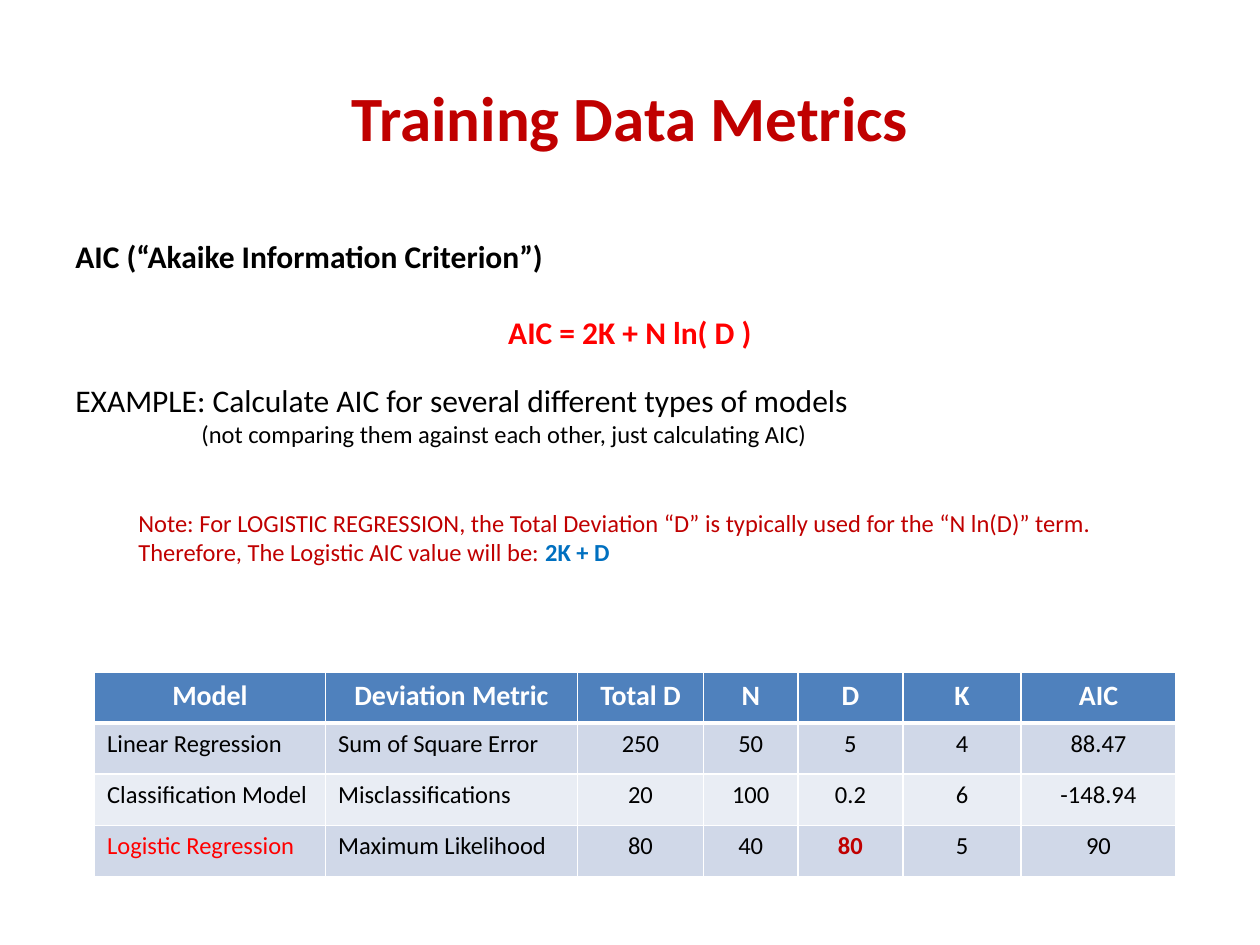
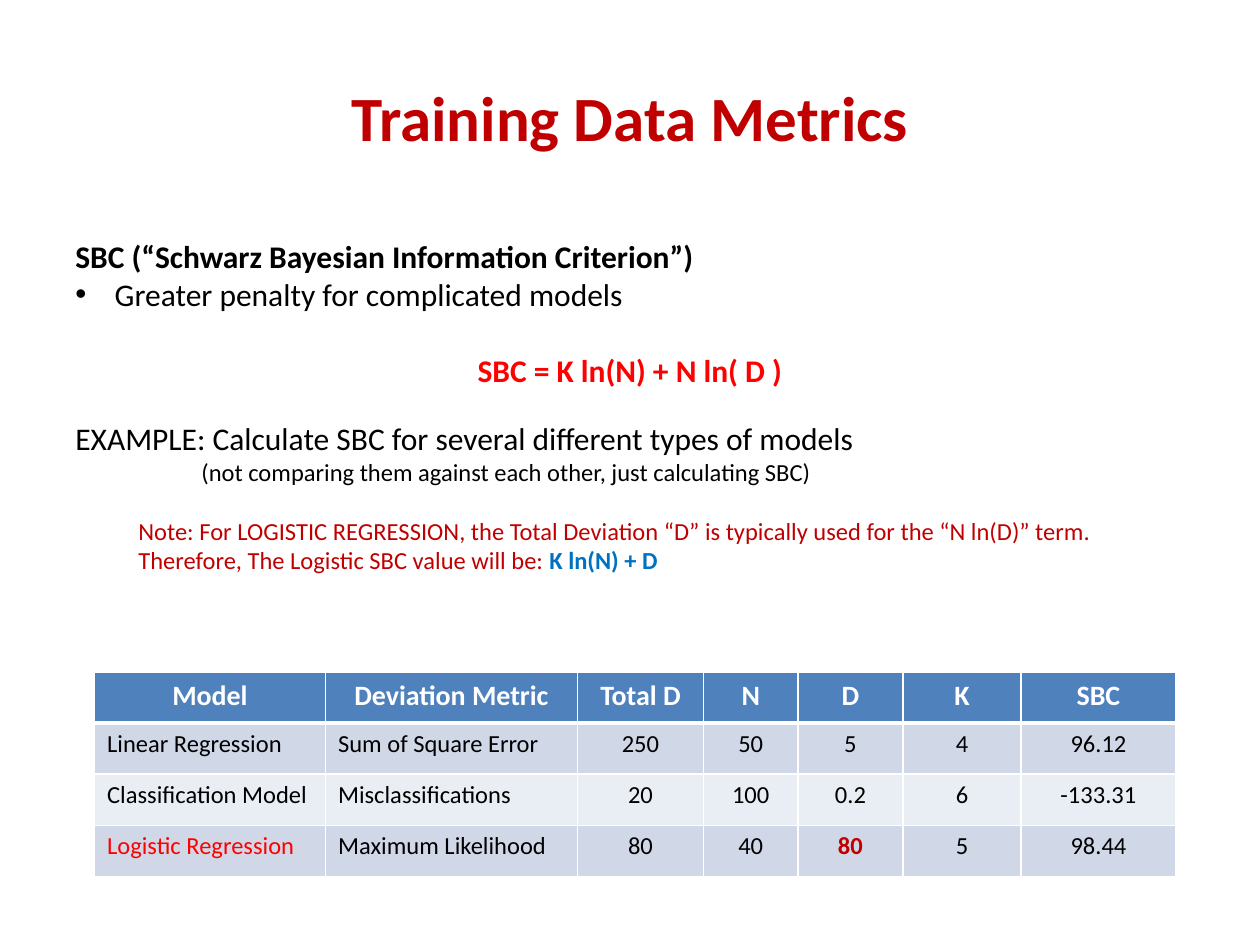
from lxml.etree import SubElement
from pptx import Presentation
from pptx.dml.color import RGBColor
from pptx.enum.text import MSO_ANCHOR, MSO_AUTO_SIZE, PP_ALIGN
from pptx.oxml.ns import qn
from pptx.util import Pt

FONT = "Calibri"
COLORS = {
    "black": "000000",
    "white": "FFFFFF",
    "dark_red": "C00000",
    "red": "FF0000",
    "blue": "0070C0",
    "header": "4F81BD",
    "odd_row": "D0D8E8",
    "even_row": "E9EDF4",
}
LINE_HEIGHT = 1.22  # Calibri line height relative to its size
COLUMN_WIDTHS = [132, 144, 72, 54, 60, 67.5, 88.5]
ROW_HEIGHT = 29.2
HEADINGS = ["Model", "Deviation Metric", "Total D", "N", "D", "K"]
MODELS = [
    ["Linear Regression", "Sum of Square Error", "250", "50", "5", "4"],
    ["Classification Model", "Misclassifications", "20", "100", "0.2", "6"],
    ["Logistic Regression", "Maximum Likelihood", "80", "40", "80", "5"],
]
HIGHLIGHTS = {(3, 0): ("red", False), (3, 4): ("dark_red", True)}
METRICS = [
    {
        "short": "AIC",
        "name": "Akaike Information Criterion",
        "points": [],
        "formula": "AIC = 2K + N ln( D )",
        "logistic": "2K + D",
        "note_gap": 2 * 14 * LINE_HEIGHT,
        "values": ["88.47", "-148.94", "90"],
        "height": 196.5,
    },
    {
        "short": "SBC",
        "name": "Schwarz Bayesian Information Criterion",
        "points": ["Greater penalty for complicated models"],
        "formula": "SBC = K ln(N) + N ln( D )",
        "logistic": "K ln(N) + D",
        "note_gap": 14 * LINE_HEIGHT,
        "values": ["96.12", "-133.31", "98.44"],
        "height": 218,
    },
]


def add_run(paragraph, text, size, color="black", bold=False):
    """Append one formatted run to a paragraph."""
    run = paragraph.add_run()
    run.text = text
    run.font.name = FONT
    run.font.size = Pt(size)
    run.font.bold = bold
    run.font.color.rgb = RGBColor.from_string(COLORS[color])


def add_text_box(slide, left, top, width, height):
    """Add a wrapping text box and return its text frame."""
    frame = slide.shapes.add_textbox(
        Pt(left), Pt(top), Pt(width), Pt(height)).text_frame
    frame.word_wrap = True
    return frame


def add_paragraph(frame, runs, gap=0, indent=0, align=PP_ALIGN.LEFT):
    """Add a paragraph of runs, using the empty first one if it is free."""
    first = frame.paragraphs[0]
    paragraph = frame.add_paragraph() if first.runs else first
    paragraph.alignment = align
    paragraph.space_before = Pt(gap)
    if indent:
        paragraph._p.get_or_add_pPr().set("marL", str(Pt(indent)))
    for run in runs:
        add_run(paragraph, *run)
    return paragraph


def add_bullet(paragraph, hanging):
    """Give a paragraph a round bullet that hangs left of its text."""
    properties = paragraph._p.get_or_add_pPr()
    properties.set("indent", str(-Pt(hanging)))
    SubElement(properties, qn("a:buFont")).set("typeface", "Arial")
    SubElement(properties, qn("a:buChar")).set("char", "•")


def add_title(slide):
    """Add the title that all slides share."""
    frame = add_text_box(slide, 36, 21.6, 648, 90)
    frame.vertical_anchor = MSO_ANCHOR.MIDDLE
    add_paragraph(frame, [("Training Data Metrics", 36, "dark_red", True)],
                  align=PP_ALIGN.CENTER)


def add_explanation(slide, metric):
    """Add the definition, formula, example and note of a metric."""
    short = metric["short"]
    frame = add_text_box(slide, 36, 132, 648, metric["height"])
    frame.auto_size = MSO_AUTO_SIZE.SHAPE_TO_FIT_TEXT
    add_paragraph(frame, [(f"{short} (“{metric['name']}”)", 18, "black", True)])
    for point in metric["points"]:
        add_bullet(add_paragraph(frame, [(point, 18)], indent=22.5), 22.5)
    add_paragraph(frame, [(metric["formula"], 18, "red", True)],
                  gap=18 * LINE_HEIGHT, align=PP_ALIGN.CENTER)
    add_paragraph(
        frame,
        [(f"EXAMPLE: Calculate {short} for several different types of models", 18)],
        gap=14 * LINE_HEIGHT)
    add_paragraph(
        frame,
        [(f"(not comparing them against each other, just calculating {short})", 14)],
        indent=72)
    note = ("Note: For LOGISTIC REGRESSION, the Total Deviation “D” is typically "
            "used for the “N ln(D)” term. Therefore, The Logistic "
            f"{short} value will be: ")
    add_paragraph(
        frame,
        [(note, 14, "dark_red"), (metric["logistic"], 14, "blue", True)],
        gap=metric["note_gap"], indent=36)


def set_borders(cell, top, bottom):
    """Draw white borders round a cell, with given top and bottom widths."""
    properties = cell._tc.get_or_add_tcPr()
    for side, width in (("L", 1), ("R", 1), ("T", top), ("B", bottom)):
        line = SubElement(properties, qn(f"a:ln{side}"), w=str(Pt(width)))
        fill = SubElement(line, qn("a:solidFill"))
        SubElement(fill, qn("a:srgbClr"), val=COLORS["white"])


def fill_cell(cell, text, row, column):
    """Write and style one table cell according to its place."""
    set_borders(cell, 3 if row == 1 else 1, 3 if row == 0 else 1)
    if row == 0:
        background, size, color, bold = "header", 16, "white", True
    else:
        background = "odd_row" if row % 2 else "even_row"
        size = 14
        color, bold = HIGHLIGHTS.get((row, column), ("black", False))
    cell.fill.solid()
    cell.fill.fore_color.rgb = RGBColor.from_string(COLORS[background])
    centred = row == 0 or column > 1
    add_paragraph(cell.text_frame, [(text, size, color, bold)],
                  align=PP_ALIGN.CENTER if centred else PP_ALIGN.LEFT)


def add_model_table(slide, metric):
    """Add the table of models, ending in the column of the metric."""
    rows = [HEADINGS + [metric["short"]]]
    rows += [model + [value] for model, value in zip(MODELS, metric["values"])]
    table = slide.shapes.add_table(
        len(rows), len(COLUMN_WIDTHS), Pt(54), Pt(384),
        Pt(sum(COLUMN_WIDTHS)), Pt(ROW_HEIGHT * len(rows))).table
    for column, width in zip(table.columns, COLUMN_WIDTHS):
        column.width = Pt(width)
    for row_index, texts in enumerate(rows):
        table.rows[row_index].height = Pt(ROW_HEIGHT)
        for column_index, text in enumerate(texts):
            fill_cell(table.cell(row_index, column_index), text,
                      row_index, column_index)


def main():
    """Build one slide for each metric and save the presentation."""
    presentation = Presentation()
    presentation.slide_width = Pt(720)
    presentation.slide_height = Pt(540)
    for metric in METRICS:
        slide = presentation.slides.add_slide(presentation.slide_layouts[6])
        add_title(slide)
        add_explanation(slide, metric)
        add_model_table(slide, metric)
    presentation.save("out.pptx")


main()
